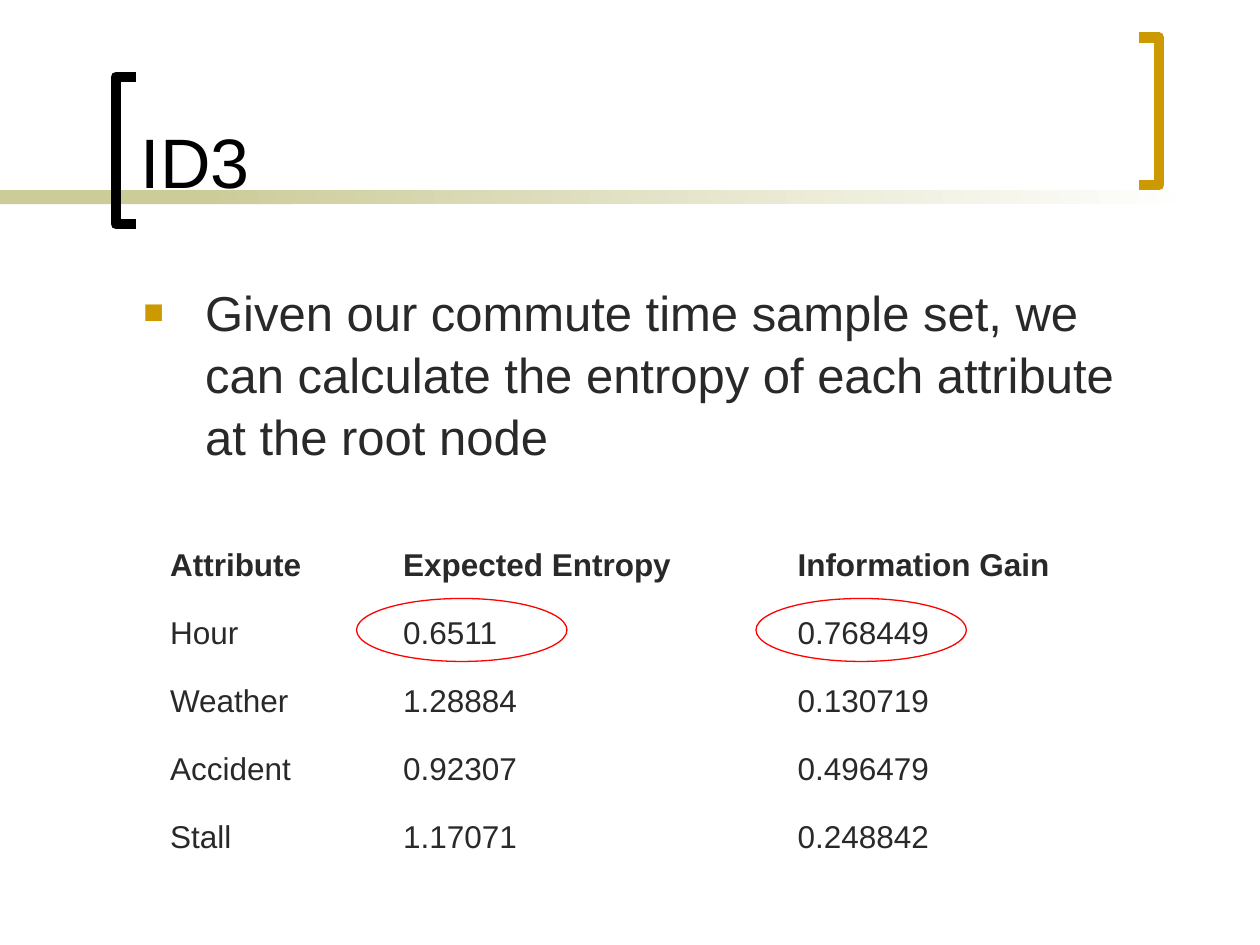
from lxml import etree
from pptx import Presentation
from pptx.dml.color import RGBColor
from pptx.enum import shapes, text
from pptx.oxml.ns import qn
from pptx.util import Inches, Pt

BLACK = RGBColor(0x00, 0x00, 0x00)
WHITE = RGBColor(0xFF, 0xFF, 0xFF)
INK = RGBColor(0x29, 0x29, 0x29)
SAND = RGBColor(0xCC, 0xCC, 0x99)
GOLD = RGBColor(0xCC, 0x99, 0x00)
RED = RGBColor(0xFF, 0x00, 0x00)
FONT = "Arial"

ROWS = [
    ("Attribute", "Expected Entropy", "Information Gain"),
    ("Hour", "0.6511", "0.768449"),
    ("Weather", "1.28884", "0.130719"),
    ("Accident", "0.92307", "0.496479"),
    ("Stall", "1.17071", "0.248842"),
]
COL_WIDTHS = (1.85, 3.13, 3.02)
ROW_HEIGHTS = (0.68, 0.54, 0.54, 0.54, 0.54)


def write(tf, content, size=18, color=INK, bold=False):
    p = tf.paragraphs[0]
    r = p.add_run()
    r.text = content
    r.font.name = FONT
    r.font.size = Pt(size)
    r.font.bold = bold
    r.font.color.rgb = color
    return p


def add_text(s, box, content, anchor=text.MSO_ANCHOR.TOP, **fmt):
    tf = s.shapes.add_textbox(*map(Inches, box)).text_frame
    tf.word_wrap = True
    tf.vertical_anchor = anchor
    return write(tf, content, **fmt)


def add_bullet(p, char, color, percent, indent):
    pPr = p._p.get_or_add_pPr()
    pPr.set("marL", str(Inches(indent)))
    pPr.set("indent", str(-Inches(indent)))
    clr = etree.SubElement(pPr, qn("a:buClr"))
    etree.SubElement(clr, qn("a:srgbClr"), val=str(color))
    etree.SubElement(pPr, qn("a:buSzPct"), val=str(percent * 1000))
    etree.SubElement(pPr, qn("a:buFont"), typeface=FONT)
    etree.SubElement(pPr, qn("a:buChar"), char=char)


def add_bar(s, left, width, end=None):
    sp = s.shapes.add_shape(shapes.MSO_SHAPE.RECTANGLE, Inches(left),
                            Inches(1.51), Inches(width), Inches(0.11))
    sp.shadow.inherit = False
    sp.line.fill.background()
    if end is None:
        sp.fill.solid()
        sp.fill.fore_color.rgb = SAND
    else:
        sp.fill.gradient()
        sp.fill.gradient_angle = 0
        for stop, color in zip(sp.fill.gradient_stops, (SAND, end)):
            stop.color.rgb = color


def add_bracket(s, spine, tip, top, color):
    bottom = top + 1.17
    points = [(tip, top), (spine, top), (spine, bottom), (tip, bottom)]
    points = [(Inches(x), Inches(y)) for x, y in points]
    fb = s.shapes.build_freeform(*points[0])
    fb.add_line_segments(points[1:], close=False)
    sp = fb.convert_to_shape()
    sp.shadow.inherit = False
    sp.fill.background()
    sp.line.color.rgb = color
    sp.line.width = Pt(6)


def add_results(s):
    frame = s.shapes.add_table(len(ROWS), len(COL_WIDTHS), Inches(1.25), Inches(4),
                               Inches(sum(COL_WIDTHS)), Inches(sum(ROW_HEIGHTS)))
    table = frame.table
    table.first_row = table.horz_banding = False
    for col, width in zip(table.columns, COL_WIDTHS):
        col.width = Inches(width)
    for i, (row, height) in enumerate(zip(table.rows, ROW_HEIGHTS)):
        row.height = Inches(height)
        for cell, content in zip(row.cells, ROWS[i]):
            cell.fill.background()
            cell.vertical_anchor = text.MSO_ANCHOR.BOTTOM
            write(cell.text_frame, content, bold=i == 0)


def add_highlight(s, left):
    sp = s.shapes.add_shape(shapes.MSO_SHAPE.OVAL, Inches(left), Inches(4.75),
                            Inches(1.67), Inches(0.5))
    sp.shadow.inherit = False
    sp.fill.background()
    sp.line.color.rgb = RED
    sp.line.width = Pt(0.75)


def main():
    prs = Presentation()
    prs.slide_width, prs.slide_height = Inches(10), Inches(7.5)
    s = prs.slides.add_slide(prs.slide_layouts[6])

    # Title rule and brackets
    add_bar(s, 0, 2.33)
    add_bar(s, 1.58, 7.92, end=WHITE)
    add_bracket(s, 0.92, 1.08, 0.61, BLACK)
    add_bracket(s, 9.2, 9.04, 0.3, GOLD)

    # Title and body
    add_text(s, (1.02, 0.11, 7.83, 1.55), "ID3",
             anchor=text.MSO_ANCHOR.BOTTOM, size=40, color=BLACK)
    p = add_text(s, (1.04, 2.17, 8.13, 1.58),
                 "Given our commute time sample set, we can calculate the "
                 "entropy of each attribute at the root node", size=28)
    p.space_before = Pt(7)
    p.line_spacing = 1.05
    add_bullet(p, "■", GOLD, 70, 0.49)

    # Results, with the best attribute circled
    add_results(s)
    for left in (2.83, 6):
        add_highlight(s, left)

    prs.save("out.pptx")


if __name__ == "__main__":
    main()
